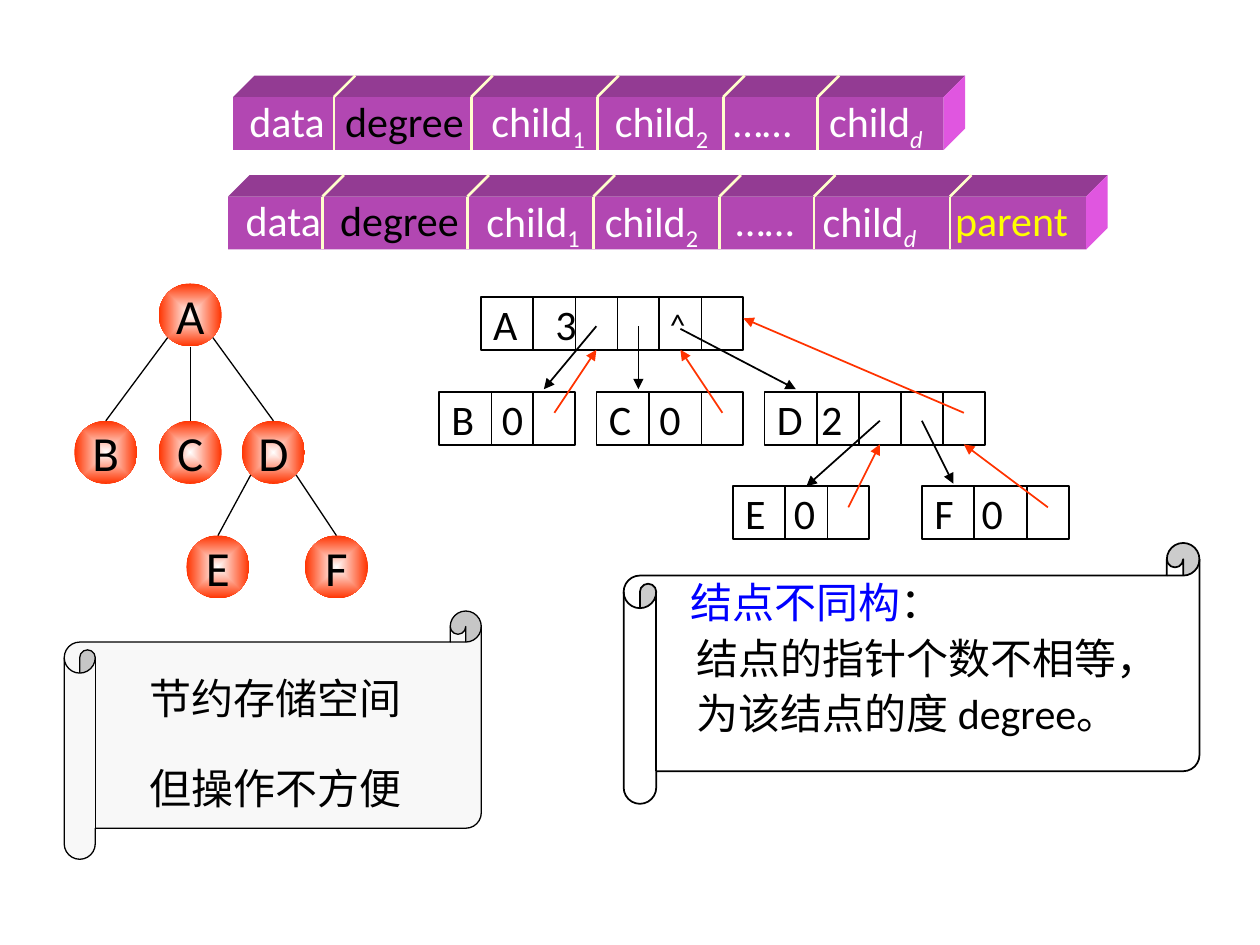
"""Build a slide on variable-degree tree nodes: record layouts, a tree and its linked storage."""
from lxml import etree
from pptx import Presentation, util as u
from pptx.dml.color import RGBColor
from pptx.enum import shapes, text
from pptx.oxml import ns

rgb = RGBColor.from_string
MSO = shapes.MSO_SHAPE
BLACK, WHITE, RED, CREAM = "000000", "FFFFFF", "FF3300", "FFFFCC"

prs = Presentation()
prs.slide_width, prs.slide_height = u.Inches(10), u.Inches(7.5)
s = prs.slides.add_slide(prs.slide_layouts[6])


def box(kind, at, paras=(), fill=None, edge=0, align="LEFT", inset=0.1, size=24, spacing=1):
    """Add a preset shape, or a text box if kind is None; each paragraph lists (text, colour, subscript)."""
    at = [u.Inches(v) for v in at]
    if kind is None:
        sp = s.shapes.add_textbox(*at)
    else:
        sp = s.shapes.add_shape(kind, *at)
        sp.shadow.inherit = False
        if fill:
            sp.fill.solid()
            sp.fill.fore_color.rgb = rgb(fill)
        else:
            sp.fill.background()
        if edge:
            sp.line.color.rgb, sp.line.width = rgb(BLACK), u.Pt(edge)
        else:
            sp.line.fill.background()
    tf = sp.text_frame
    tf.word_wrap = False
    tf.vertical_anchor = text.MSO_ANCHOR.MIDDLE
    tf.margin_left = tf.margin_right = u.Inches(inset)
    for i, runs in enumerate(paras):
        p = tf.add_paragraph() if i else tf.paragraphs[0]
        p.alignment = getattr(text.PP_ALIGN, align)
        p.line_spacing = spacing
        for words, colour, sub in runs:
            r = p.add_run()
            r.text = words
            r.font.name, r.font.size, r.font.color.rgb = "Calibri", u.Pt(size), rgb(colour)
            if sub:
                r.font._element.set("baseline", "-25000")
                r.font.italic = words == "d"
    return sp


def line(x1, y1, x2, y2, colour=BLACK, width=1, arrow=False):
    """Add a straight line, with an arrowhead at its end if asked."""
    c = s.shapes.add_connector(shapes.MSO_CONNECTOR.STRAIGHT, *[u.Inches(v) for v in (x1, y1, x2, y2)])
    c.line.color.rgb, c.line.width = rgb(colour), u.Pt(width)
    if arrow:
        etree.SubElement(c.line._get_or_add_ln(), ns.qn("a:tailEnd"), type="triangle")
    etree.SubElement(c._element.spPr, ns.qn("a:effectLst"))


sp = box(MSO.HORIZONTAL_SCROLL, (0.51, 4.85, 3.31, 1.97),
         [[("节约存储空间", BLACK, "")], [("但操作不方便", BLACK, "")]], "F8F8F8", 0.75, "CENTER", spacing=1.8)
sp.text_frame.paragraphs[0].line_spacing = 1.3
sp.text_frame.margin_right = u.Inches(0.18)

tree = {"A": (1.51, 2.5, ""), "B": (0.84, 3.59, "A"), "C": (1.51, 3.59, "A"),
        "D": (2.17, 3.59, "A"), "E": (1.73, 4.5, "D"), "F": (2.67, 4.5, "D")}
radius = 0.25
for name, (x, y, parent) in tree.items():
    sp = box(MSO.OVAL, (x - radius, y - radius, 2 * radius, 2 * radius), [[(name, BLACK, "")]],
             align="CENTER", size=28)
    sp.fill.gradient()
    for stop, colour in zip(sp.fill.gradient_stops, (WHITE, RED)):
        stop.color.rgb = rgb(colour)
    grad = sp._element.spPr.find(ns.qn("a:gradFill"))
    lin = grad.find(ns.qn("a:lin"))
    radial = etree.Element(ns.qn("a:path"), path="shape")
    etree.SubElement(radial, ns.qn("a:fillToRect"), l="50000", t="50000", r="50000", b="50000")
    grad.replace(lin, radial)
    if parent:
        px, py, _ = tree[parent]
        side = (x > px) - (x < px)
        line(px + side * 0.18, py + (0.18 if side else radius), x, y - radius, width=0.75)

depth, height = 0.17, 0.42
bars = [
    (1.85, 0.77, 5.64, [2.65, 3.74, 4.74, 5.74, 6.49], [1.98, 2.74, 3.9, 4.88, 5.82, 6.58]),
    (1.81, 1.56, 6.81, [2.56, 3.71, 4.71, 5.71, 6.46, 7.54], [1.95, 2.7, 3.86, 4.8, 5.84, 6.53, 7.58]),
]
fields = [("data", WHITE, ""), ("degree", BLACK, ""), ("child", WHITE, "1"), ("child", WHITE, "2"),
          ("……", WHITE, ""), ("child", WHITE, "d"), ("parent", "FFFF00", "")]
for left, top, width, splits, starts in bars:
    right, bottom = left + width, top + height
    box(MSO.RECTANGLE, (left, top, width, height), fill="B247B2")
    upper = [(left, top), (left + depth, top - depth), (right + depth, top - depth), (right, top)]
    end = [(right, top), (right + depth, top - depth), (right + depth, bottom - depth), (right, bottom)]
    for face, colour in ((upper, "933B93"), (end, "E056E0")):
        points = [(u.Inches(x), u.Inches(y)) for x, y in face]
        fb = s.shapes.build_freeform(*points[0])
        fb.add_line_segments(points[1:])
        sp = fb.convert_to_shape()
        sp.shadow.inherit = False
        sp.fill.solid()
        sp.fill.fore_color.rgb = rgb(colour)
        sp.line.fill.background()
    for x in splits:
        line(x, bottom, x, top, CREAM, 1.5)
        line(x, top, x + depth, top - depth, CREAM, 1.5)
    for x, (word, colour, sub) in zip(starts, fields):
        runs = [(word, colour, "")] + ([(sub, colour, sub)] if sub else [])
        rise = 0.08 if sub else 0.11
        box(None, (x, top - rise, 1, 0.55), [runs], inset=0, spacing=1.1)

sp = box(MSO.HORIZONTAL_SCROLL, (4.95, 4.31, 4.57, 2.07),
         [[("结点不同构", "0000FF", ""), ("：", BLACK, "")], [("结点的指针个数不相等，", BLACK, "")],
          [("为该结点的度 degree。", BLACK, "")]], WHITE, 1, spacing=1.1)
tf = sp.text_frame
tf.word_wrap = True
tf.vertical_anchor = text.MSO_ANCHOR.TOP
tf.margin_top, tf.margin_right = u.Inches(0.01), 0
tf.paragraphs[0].line_spacing = 1
for p, indent in zip(tf.paragraphs, (0.17, 0.22, 0.22)):
    p._p.get_or_add_pPr().set("marL", str(u.Inches(indent)))

unit, x0, y0 = 1 / 12, 3.4, 2.36
records = [("A", "3", 0, 5, 30, [10, 14, 18, 22, 26], 12.1), ("B", "0", 9, 1, 14, [6, 10], 7),
           ("C", "0", 9, 16, 30, [21, 26], 22), ("D", "2", 9, 32, 53, [37, 41, 45, 49], 37.4),
           ("E", "0", 18, 29, 42, [34, 38], 34.8), ("F", "0", 18, 47, 61, [52, 57], 52.7)]
for name, degree, row, first, last, splits, start in records:
    y = y0 + row * unit
    box(MSO.RECTANGLE, (x0 + first * unit, y, (last - first) * unit, height), [[(name, BLACK, "")]], edge=1)
    for col in splits:
        line(x0 + col * unit, y, x0 + col * unit, y + height)
    box(None, (x0 + start * unit, y, 0.3, height), [[(degree, BLACK, "")]], inset=0)
box(None, (x0 + 23 * unit, y0, 0.3, height), [[("^", BLACK, "")]], inset=0, size=18)

links = {
    BLACK: [(16, 2.75, 11, 8.75), (20, 2.75, 20, 8.75), (24, 3, 35, 8.75), (43, 11.75, 36, 18), (47, 11.75, 50, 17.75)],
    RED: [(12, 11, 16, 5), (28, 11, 24, 5), (51, 11, 30, 2), (40, 20, 43, 14), (59, 20, 51, 14)],
}
for colour, arrows in links.items():
    for c1, r1, c2, r2 in arrows:
        line(x0 + c1 * unit, y0 + r1 * unit, x0 + c2 * unit, y0 + r2 * unit, colour, arrow=True)

prs.save("out.pptx")
